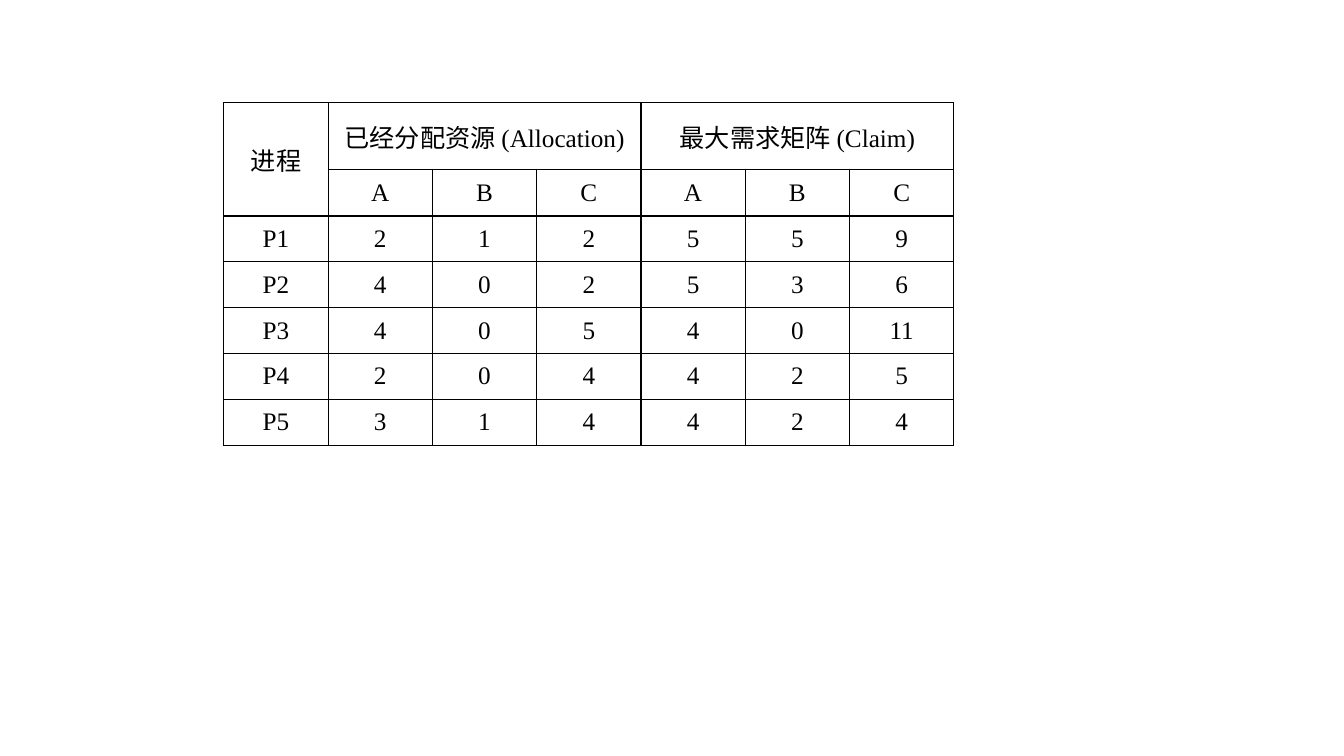
"""Build a slide with the allocation and claim matrices of five processes."""
import pptx
import pptx.dml.color
import pptx.enum.text
import pptx.oxml
import pptx.util
from pptx.oxml.ns import nsdecls
from pptx.util import Inches

COLORS = {"ink": "000000", "paper": "FFFFFF"}
FONT = "Times New Roman"
RESOURCES = ["A", "B", "C"]
GROUPS = ["已经分配资源 (Allocation)", "最大需求矩阵 (Claim)"]
PROCESSES = {
    "P1": [2, 1, 2, 5, 5, 9],
    "P2": [4, 0, 2, 5, 3, 6],
    "P3": [4, 0, 5, 4, 0, 11],
    "P4": [2, 0, 4, 4, 2, 5],
    "P5": [3, 1, 4, 4, 2, 4],
}
HEADER_HEIGHT, TABLE_HEIGHT = 0.66, 3.39


def rgb(name):
    return pptx.dml.color.RGBColor.from_string(COLORS[name])


def add_borders(cell):
    properties = cell._tc.get_or_add_tcPr()
    for side in ("lnL", "lnR", "lnT", "lnB"):
        properties.append(pptx.oxml.parse_xml(
            f'<a:{side} {nsdecls("a")} w="{pptx.util.Pt(1)}"><a:solidFill>'
            f'<a:srgbClr val="{COLORS["ink"]}"/></a:solidFill></a:{side}>'))


def format_cell(cell):
    add_borders(cell)
    cell.fill.solid()
    cell.fill.fore_color.rgb = rgb("paper")
    cell.vertical_anchor = pptx.enum.text.MSO_ANCHOR.MIDDLE
    cell.margin_left = cell.margin_right = Inches(0.05)
    cell.margin_top = cell.margin_bottom = Inches(0.05)
    paragraph = cell.text_frame.paragraphs[0]
    paragraph.alignment = pptx.enum.text.PP_ALIGN.CENTER
    for run in paragraph.runs:
        run.font.name = FONT
        run.font.size = pptx.util.Pt(18)
        run.font.color.rgb = rgb("ink")


def add_matrix(slide):
    group_size = len(RESOURCES)
    header = ["进程"]
    for group in GROUPS:
        header += [group] + [""] * (group_size - 1)
    rows = [header, [""] + RESOURCES * len(GROUPS)]
    rows += [[process] + counts for process, counts in PROCESSES.items()]

    matrix = slide.shapes.add_table(
        len(rows), len(header), Inches(2.22), Inches(1.02),
        Inches(7.24), Inches(TABLE_HEIGHT)).table
    matrix.first_row = matrix.horz_banding = False
    body_height = (TABLE_HEIGHT - HEADER_HEIGHT) / (len(rows) - 1)
    for r, values in enumerate(rows):
        matrix.rows[r].height = Inches(body_height if r else HEADER_HEIGHT)
        for c, value in enumerate(values):
            cell = matrix.cell(r, c)
            cell.text_frame.text = str(value)
            format_cell(cell)

    matrix.cell(0, 0).merge(matrix.cell(1, 0))
    for first in range(1, len(header), group_size):
        matrix.cell(0, first).merge(matrix.cell(0, first + group_size - 1))


def main():
    deck = pptx.Presentation()
    deck.slide_width, deck.slide_height = Inches(13.33), Inches(7.5)
    slide = deck.slides.add_slide(deck.slide_layouts[6])
    add_matrix(slide)
    deck.save("out.pptx")


if __name__ == "__main__":
    main()
